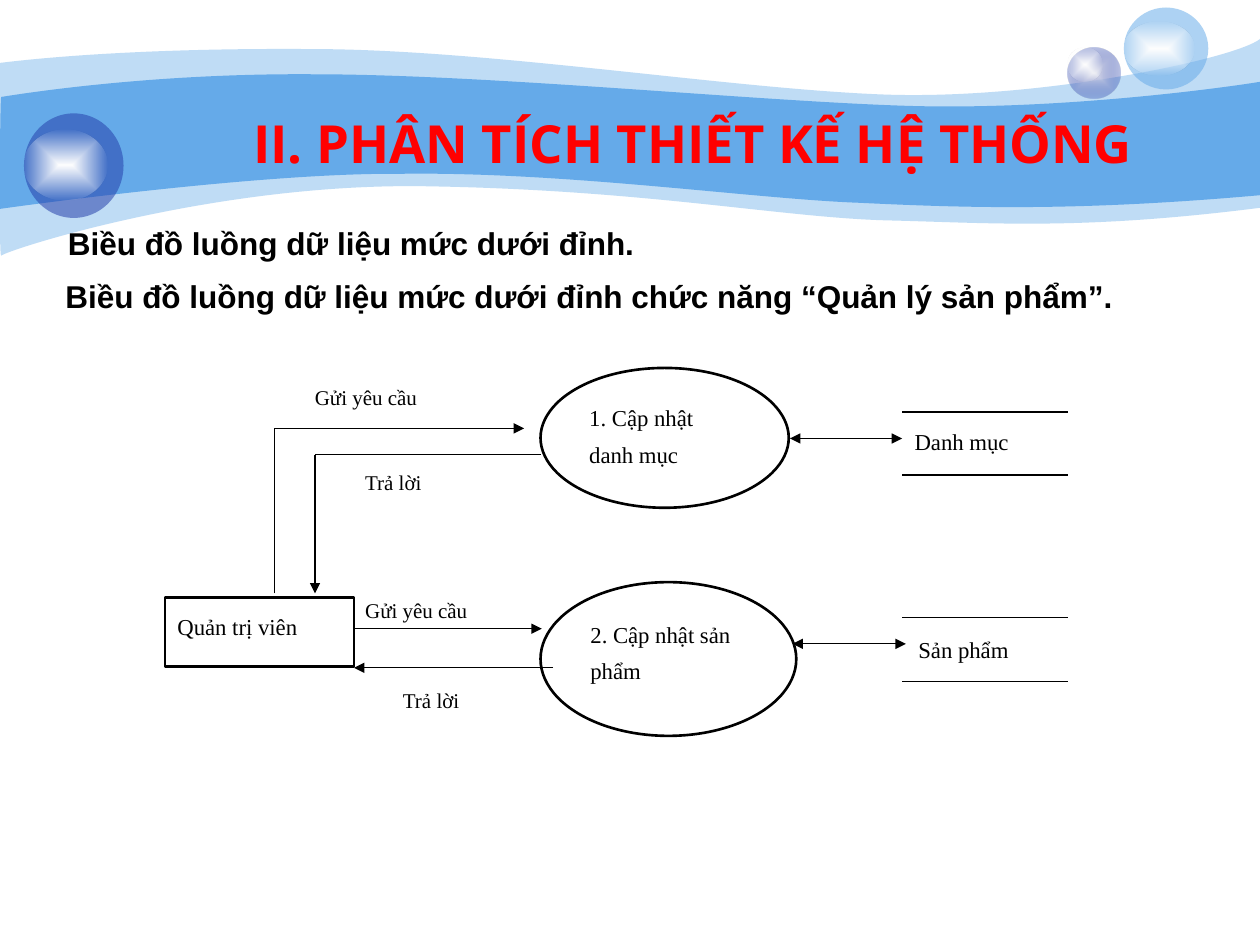
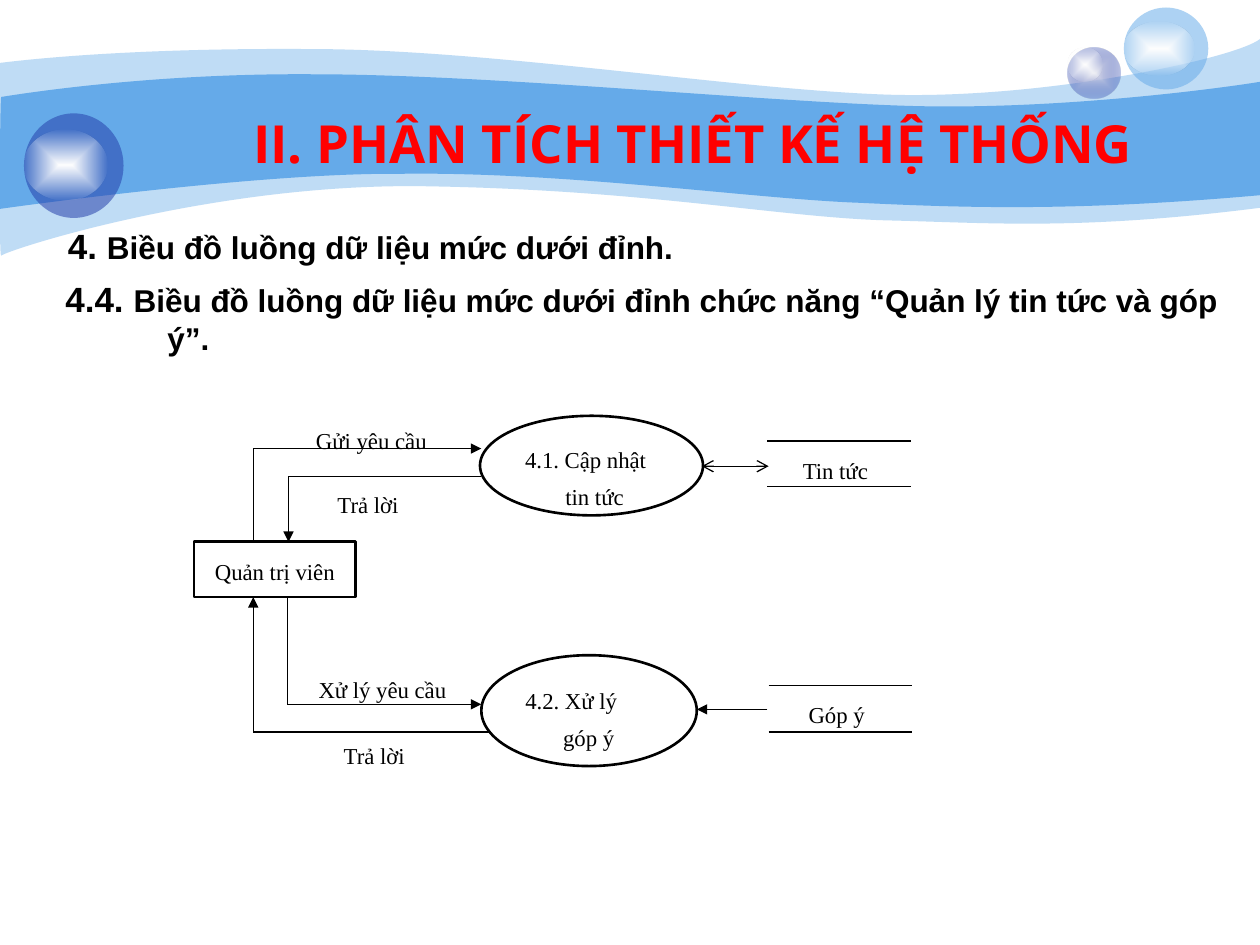
import dataclasses
import lxml.etree
import pptx
import pptx.dml.color
import pptx.enum.shapes
import pptx.enum.text
import pptx.oxml.ns
import pptx.util


@dataclasses.dataclass(frozen=True)
class Theme:
    black: str = "000000"
    white: str = "FFFFFF"
    red: str = "FF0000"
    sky: str = "65AAE9"
    navy: str = "233DA9"
    mist: str = "E1E2ED"
    title_font: str = "Open Sans"
    heading_font: str = "Arial"
    diagram_font: str = "Times New Roman"
    title_size: int = 30
    number_size: int = 20
    heading_size: int = 18
    node_size: int = 13
    thin: float = 0.75
    thick: float = 1.5


theme = Theme()
TITLE = "II. PHÂN TÍCH THIẾT KẾ HỆ THỐNG"
TITLE_BOX = (0.5, 0.83, 10, 0.61)
HEADING = "Biều đồ luồng dữ liệu mức dưới đỉnh"

WAVES = [
    (41, (0, 0.5), [
        [(0.24, 0.47), (1.07, 0.38), (2.47, 0.39)],
        [(3.86, 0.39), (5.75, 0.7), (6.99, 0.75)],
        [(8.22, 0.8), (9.8, 0.47), (10, 0.31)],
        [(10, 1.65)],
        [(8.58, 1.83), (7.87, 1.77), (7.05, 1.75)],
        [(6.22, 1.73), (5.15, 1.51), (3.43, 1.48)],
        [(1.72, 1.44), (0.04, 1.99), (0.01, 2.03)],
        [(-0.01, 2.08), (0, 0.75), (0, 0.5)],
    ]),
    (100, (0.01, 0.77), [
        [(0.02, 0.77), (1.1, 0.58), (2.48, 0.59)],
        [(3.86, 0.59), (5.95, 0.8), (7.18, 0.84)],
        [(8.41, 0.88), (9.76, 0.69), (10, 0.65)],
        [(10, 1.55)],
        [(8.53, 1.68), (7.65, 1.65), (6.82, 1.61)],
        [(5.99, 1.58), (4.47, 1.36), (3.17, 1.38)],
        [(2.03, 1.37), (-0.02, 1.66), (-0.01, 1.66)],
        [(0, 1.66), (0, 0.77), (0.01, 0.77)],
    ]),
]
BUBBLES = [
    ((8.47, 0.38, 0.42, 0.4), [(theme.mist, 100), (theme.navy, 31)], (8.47, 0.38, 0.28, 0.27)),
    ((8.92, 0.06, 0.67, 0.65), [(theme.sky, 53)], (8.92, 0.17, 0.56, 0.43)),
    ((0.19, 0.9, 0.79, 0.83), [(theme.navy, 53)], (0.19, 1.03, 0.66, 0.56)),
]
GLOW = [(theme.white, 100), (theme.white, 0)]

SLIDES = [
    {
        "headings": [
            ((-0.06, 1.73, 5.98, 0.4), "", HEADING + ".", 0.5, 0),
            ((-0.08, 2.15, 9.92, 0.4), "", HEADING + " chức năng “Quản lý sản phẩm”.", 0.5, 0),
        ],
        "labels": [
            ("Gửi yêu cầu", (2.8, 4.62, 1.26, 0.53)),
            ("Trả lời", (2.8, 3.61, 0.96, 0.43)),
            ("Gửi yêu cầu", (2.4, 2.93, 1.32, 0.52)),
            ("Trả lời", (3.1, 5.34, 0.96, 0.39)),
        ],
        "label_size": 12,
        "actor": ("Quản trị viên", (1.31, 4.74, 1.5, 0.55)),
        "processes": [
            (" Cập nhật danh mục", (4.29, 2.92, 1.97, 1.11), {"number": 1}),
            (" Cập nhật sản phẩm", (4.29, 4.62, 2.03, 1.22), {"number": 2}),
        ],
        "stores": [
            ("Sản phẩm", (7.16, 4.9, 1.32, 0.51), (0.03, 0.02)),
            ("Danh mục", (7.16, 3.27, 1.32, 0.5), (0, 0)),
        ],
        "centred": False,
        "flows": [
            ([(2.18, 4.71), (2.18, 3.4), (4.16, 3.4)], None, "triangle"),
            ([(4.29, 3.61), (2.5, 3.61), (2.5, 4.71)], None, "triangle"),
            ([(2.81, 4.99), (4.3, 4.99)], None, "triangle"),
            ([(4.39, 5.3), (2.81, 5.3)], None, "triangle"),
            ([(7.19, 5.11), (6.29, 5.11)], "triangle", "triangle"),
            ([(7.16, 3.48), (6.27, 3.48)], "triangle", "triangle"),
        ],
    },
    {
        "headings": [
            ((-0.06, 1.73, 5.98, 0.44), "4. ", HEADING + ".", 0.5, 0),
            ((-0.08, 2.15, 9.92, 0.74), "4.4. ",
             HEADING + " chức năng “Quản lý tin tức và góp ý”.", 1.31, -0.81),
        ],
        "labels": [
            ("Trả lời", (2.63, 5.76, 0.74, 0.29)),
            ("Trả lời", (2.58, 3.77, 0.82, 0.31)),
            ("Gửi yêu cầu", (2.41, 3.26, 1.17, 0.29)),
            ("Xử lý yêu cầu", (2.43, 5.24, 1.24, 0.33)),
        ],
        "label_size": 13,
        "actor": ("Quản trị viên", (1.54, 4.3, 1.28, 0.44)),
        "processes": [
            ("4.1. Cập nhật tin tức", (3.81, 3.3, 1.77, 0.79), {"margin": 0.32, "indent": -0.32}),
            ("4.2. Xử lý góp ý", (3.82, 5.2, 1.71, 0.88), {"margin": 0.3, "indent": -0.3}),
        ],
        "stores": [
            ("Tin tức", (6.09, 3.5, 1.14, 0.36), (-0.03, 0)),
            ("Góp ý", (6.1, 5.44, 1.14, 0.37), (-0.03, 0)),
        ],
        "centred": True,
        "flows": [
            ([(2.01, 4.3), (2.01, 3.56), (3.82, 3.56)], None, "triangle"),
            ([(3.82, 3.78), (2.29, 3.78), (2.29, 4.3)], None, "triangle"),
            ([(2.28, 4.74), (2.28, 5.59), (3.82, 5.59)], None, "triangle"),
            ([(3.89, 5.81), (2.01, 5.81), (2.01, 4.74)], None, "triangle"),
            ([(6.09, 5.63), (5.53, 5.63)], None, "triangle"),
            ([(5.57, 3.7), (6.1, 3.7)], "arrow", "arrow"),
        ],
    },
]

presentation = pptx.Presentation()
presentation.slide_width = pptx.util.Inches(10)
presentation.slide_height = pptx.util.Inches(7.5)
column = presentation.slide_width / 10
row = presentation.slide_height / 7.5


def place(x, y):
    return round(x * column), round(y * row)


def frame(box):
    return place(*box[:2]) + place(*box[2:])


def colour(value):
    return pptx.dml.color.RGBColor.from_string(value)


def add_xml(parent, tag, **attributes):
    return lxml.etree.SubElement(parent, pptx.oxml.ns.qn(tag), attributes)


def write(shape, text, size=theme.node_size, font=theme.diagram_font, color=theme.black,
          bold=False, centred=False, margin=0, indent=0, spacing=None, before=0, number=None,
          anchor=pptx.enum.text.MSO_ANCHOR.TOP):
    text_frame = shape.text_frame
    text_frame.word_wrap = True
    text_frame.auto_size = pptx.enum.text.MSO_AUTO_SIZE.NONE
    text_frame.vertical_anchor = anchor
    paragraph = text_frame.paragraphs[0]
    alignment = pptx.enum.text.PP_ALIGN
    paragraph.alignment = alignment.CENTER if centred else alignment.LEFT
    paragraph.space_before = pptx.util.Pt(before)
    if spacing:
        paragraph.line_spacing = spacing
    properties = paragraph._p.get_or_add_pPr()
    properties.set("marL", str(round(margin * column)))
    properties.set("indent", str(round(indent * column)))
    if number:
        add_xml(properties, "a:buAutoNum", type="arabicPeriod", startAt=str(number))
    parts = [(text, size)] if isinstance(text, str) else text
    for words, points in parts:
        run = paragraph.add_run()
        run.text = words
        run.font.name = font
        run.font.size = pptx.util.Pt(points)
        run.font.bold = bold
        run.font.color.rgb = colour(color)


def add_colour(parent, value, alpha):
    element = add_xml(parent, "a:srgbClr", val=value)
    if alpha < 100:
        add_xml(element, "a:alpha", val=str(alpha * 1000))


def paint(shape, stops):
    shape.shadow.inherit = False
    shape.line.fill.background()
    if len(stops) == 1:
        shape.fill.solid()
        fill = shape.element.spPr.find(pptx.oxml.ns.qn("a:solidFill"))
        add_colour(fill, *stops[0])
        return
    shape.fill.gradient()
    gradient = shape.element.spPr.find(pptx.oxml.ns.qn("a:gradFill"))
    for child in list(gradient):
        gradient.remove(child)
    stop_list = add_xml(gradient, "a:gsLst")
    for position, stop in enumerate(stops):
        add_colour(add_xml(stop_list, "a:gs", pos=str(position * 100000)), *stop)
    shading = add_xml(gradient, "a:path", path="shape")
    add_xml(shading, "a:fillToRect", l="50000", t="50000", r="50000", b="50000")


def add_wave(slide, start, segments):
    builder = slide.shapes.build_freeform(*place(*start))
    points = [place(*point) for segment in segments for point in segment]
    builder.add_line_segments(points, close=True)
    wave = builder.convert_to_shape()
    lines = iter(list(wave.element.spPr.iter(pptx.oxml.ns.qn("a:lnTo"))))
    for segment in segments:
        steps = [next(lines) for _ in segment]
        if len(steps) == 3:
            curve = lxml.etree.Element(pptx.oxml.ns.qn("a:cubicBezTo"))
            steps[0].addprevious(curve)
            for step in steps:
                curve.append(step[0])
                step.getparent().remove(step)
    return wave


def decorate_master(slide):
    decorations = []
    for alpha, start, segments in WAVES:
        wave = add_wave(slide, start, segments)
        paint(wave, [(theme.sky, alpha)])
        decorations.append(wave)
    for box, stops, glow_box in BUBBLES:
        for part, part_stops in ((box, stops), (glow_box, GLOW)):
            bubble = slide.shapes.add_shape(pptx.enum.shapes.MSO_SHAPE.OVAL, *frame(part))
            paint(bubble, part_stops)
            decorations.append(bubble)
    for index, shape in enumerate(decorations):
        presentation.slide_master.shapes.element.insert(2 + index, shape.element)


def add_node(slide, kind, text, box, line, width, filled=True, **style):
    node = slide.shapes.add_shape(kind, *frame(box))
    node.shadow.inherit = False
    if filled:
        node.fill.solid()
        node.fill.fore_color.rgb = colour(theme.white)
    else:
        node.fill.background()
    node.line.color.rgb = colour(line)
    node.line.width = pptx.util.Pt(width)
    write(node, text, spacing=1.35, before=3, **style)


def add_flow(slide, points, head=None, tail=None):
    last = len(points) - 2
    for index, (start, end) in enumerate(zip(points, points[1:])):
        connector = slide.shapes.add_connector(
            pptx.enum.shapes.MSO_CONNECTOR.STRAIGHT, *place(*start), *place(*end))
        connector.line.color.rgb = colour(theme.black)
        connector.line.width = pptx.util.Pt(theme.thin)
        line = connector.element.spPr.find(pptx.oxml.ns.qn("a:ln"))
        if head and index == 0:
            add_xml(line, "a:headEnd", type=head)
        if tail and index == last:
            add_xml(line, "a:tailEnd", type=tail)
        add_xml(connector.element.spPr, "a:effectLst")


def build_slide(slide, content):
    rectangle = pptx.enum.shapes.MSO_SHAPE.RECTANGLE
    oval = pptx.enum.shapes.MSO_SHAPE.OVAL
    title = slide.shapes.title
    title.left, title.top, title.width, title.height = frame(TITLE_BOX)
    write(title, TITLE, size=theme.title_size, font=theme.title_font, color=theme.red,
          bold=True, centred=True, anchor=pptx.enum.text.MSO_ANCHOR.MIDDLE)
    for box, number, words, margin, indent in content["headings"]:
        parts = [(number, theme.number_size)] if number else []
        write(slide.shapes.add_textbox(*frame(box)), parts + [(words, theme.heading_size)],
              font=theme.heading_font, bold=True, margin=margin, indent=indent)
    for text, box in content["labels"]:
        add_node(slide, rectangle, text, box, theme.white, theme.thin,
                 size=content["label_size"])
    text, box = content["actor"]
    add_node(slide, rectangle, text, box, theme.black, theme.thick, centred=content["centred"])
    for text, box, style in content["processes"]:
        add_node(slide, oval, text, box, theme.black, theme.thick, filled=False, **style)
    for text, (left, top, width, height), (right, down) in content["stores"]:
        add_node(slide, rectangle, text, (left + right, top + down, width, height - down),
                 theme.white, theme.thin, centred=content["centred"])
        for y in (top, top + height):
            add_flow(slide, [(left, y), (left + width, y)])
    for points, head, tail in content["flows"]:
        add_flow(slide, points, head, tail)


slides = [presentation.slides.add_slide(presentation.slide_layouts[5]) for _ in SLIDES]
decorate_master(slides[0])
for slide, content in zip(slides, SLIDES):
    build_slide(slide, content)
presentation.save("out.pptx")
